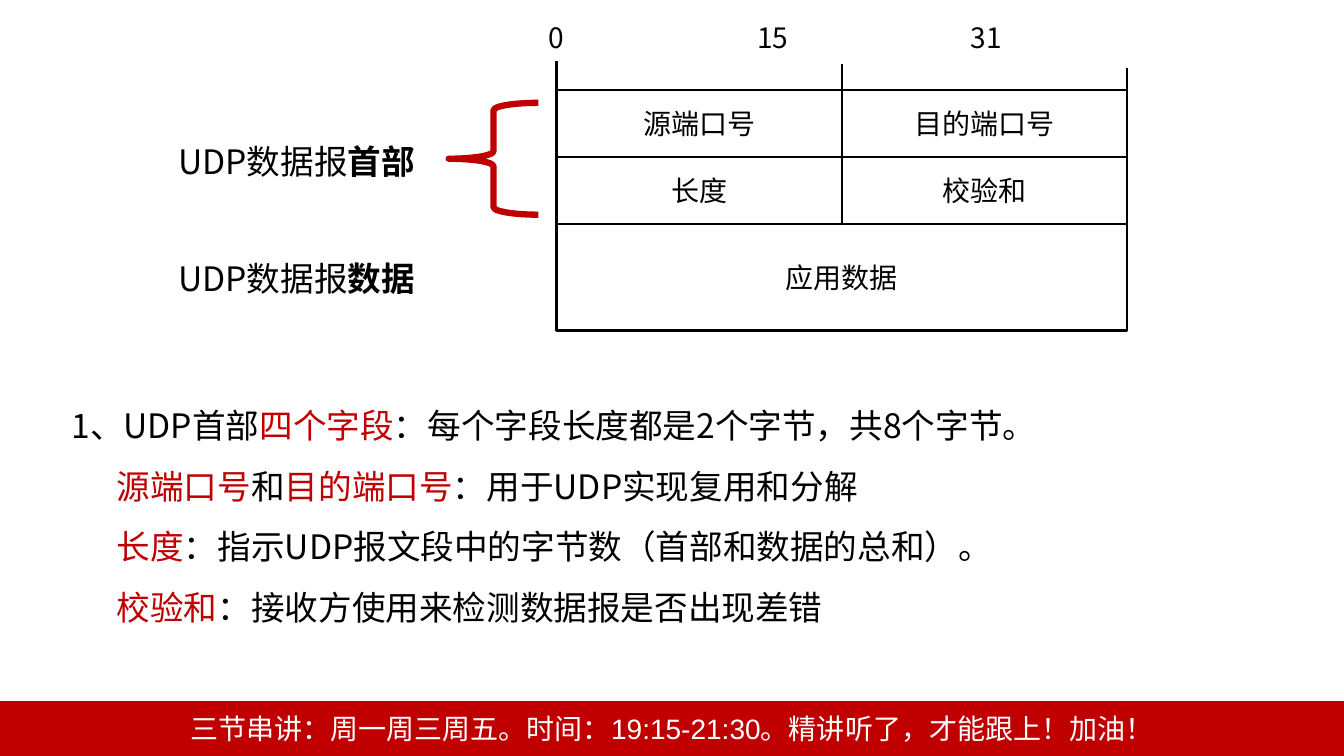
from lxml.etree import SubElement
from pptx import Presentation
from pptx.dml.color import RGBColor
from pptx.enum.shapes import MSO_CONNECTOR, MSO_SHAPE
from pptx.enum.text import MSO_ANCHOR, MSO_AUTO_SIZE, PP_ALIGN
from pptx.oxml.ns import qn
from pptx.util import Inches, Pt

SANS = "Noto Sans CJK SC"
BLACK, RED, WHITE = "000000", "C00000", "FFFFFF"


def tint(code):
    """Turn a hex string into a colour."""
    return RGBColor.from_string(code)


def write(frame, lines, size=24, font=SANS, color=BLACK, align=PP_ALIGN.LEFT,
          space=None, mark=BLACK, bold=None, indent=0, tabs=()):
    """Fill a frame with lines of runs; marked runs are tuples of one text."""
    for i, line in enumerate(lines):
        para = frame.paragraphs[0] if i == 0 else frame.add_paragraph()
        para.alignment = align
        para.line_spacing = space
        props = para._p.get_or_add_pPr()
        if indent and i:
            props.set("marL", str(Inches(indent)))
        if tabs:
            stops = SubElement(props, qn("a:tabLst"))
            for stop in tabs:
                SubElement(stops, qn("a:tab"), pos=str(Inches(stop)), algn="l")
        for part in line:
            key = isinstance(part, tuple)
            run = para.add_run()
            run.text = part[0] if key else part
            run.font.size = Pt(size)
            run.font.name = font
            run.font.color.rgb = tint(mark if key else color)
            if key and bold:
                run.font.bold = True
            face = SubElement(run._r.get_or_add_rPr(), qn("a:ea"))
            face.set("typeface", font)


def label(slide, box, lines, **style):
    """Add a wrapped text box that grows with its text."""
    frame = slide.shapes.add_textbox(*map(Inches, box)).text_frame
    frame.word_wrap = True
    frame.auto_size = MSO_AUTO_SIZE.SHAPE_TO_FIT_TEXT
    write(frame, lines, **style)


def block(slide, box, kind=MSO_SHAPE.RECTANGLE, fill=None, line=BLACK, width=1.5):
    """Add a preset shape and return its text frame."""
    shape = slide.shapes.add_shape(kind, *map(Inches, box))
    shape.shadow.inherit = False
    if fill:
        shape.fill.solid()
        shape.fill.fore_color.rgb = tint(fill)
    else:
        shape.fill.background()
    shape.line.color.rgb = tint(line)
    shape.line.width = Pt(width)
    shape.text_frame.vertical_anchor = MSO_ANCHOR.MIDDLE
    return shape.text_frame


def tick(slide, x, y, size):
    """Add an upright tick line."""
    line = slide.shapes.add_connector(
        MSO_CONNECTOR.STRAIGHT, *map(Inches, (x, y, x, y + size)))
    line.line.color.rgb = tint(BLACK)
    line.line.width = Pt(1.5)
    SubElement(line._element.spPr, qn("a:effectLst"))


def packet(slide, x, y, w, h):
    """Draw the datagram grid with its bit scale above."""
    half, row = w / 2, 0.665
    fields = [["源端口号", "目的端口号"], ["长度", "校验和"]]
    cells = [((x + c * half, y + r * row, half, row), name)
             for r, names in enumerate(fields) for c, name in enumerate(names)]
    cells.append(((x, y + 2 * row, w, h - 2 * row), "应用数据"))
    for box, name in cells:
        write(block(slide, box), [[name]], size=20, align=PP_ALIGN.CENTER)
    for i in range(3):
        tick(slide, x + i * half, y - 0.28 + i * 0.03, 0.36)
    label(slide, (x - 0.18, y - 0.74, 6.38, 0.44), [["0\t15\t31"]],
          size=20, tabs=(2.07, 4.19))


def sides(slide, x, y):
    """Name the two parts of the datagram and brace the header."""
    block(slide, (x + 2.78, y - 0.13, 0.89, 1.11), MSO_SHAPE.LEFT_BRACE,
          line=RED, width=4.5)
    for i, name in enumerate(["首部", "数据"]):
        label(slide, (x, y + i * 1.16, 2.66 + i, 0.64),
              [["UDP数据报", (name,)]], space=1.5, bold=True)


def notes(slide, *box):
    """Explain the header fields."""
    lines = [
        ["1、UDP首部", ("四个字段",), "：每个字段长度都是2个字节，共8个字节。"],
        [("源端口号",), "和", ("目的端口号",), "：用于UDP实现复用和分解"],
        [("长度",), "：指示UDP报文段中的字节数（首部和数据的总和）。"],
        [("校验和",), "：接收方使用来检测数据报是否出现差错"],
    ]
    label(slide, box, lines, space=1.5, mark=RED, indent=0.45)


def footer(slide, *box):
    """Draw the red band with the class times."""
    frame = block(slide, box, fill=RED, line=RED, width=1)
    write(frame, [["三节串讲：周一周三周五。时间：19:15-21:30。精讲听了，才能跟上！加油！"]],
          size=20, font="Arial", color=WHITE, align=PP_ALIGN.CENTER)


def main():
    """Build and save the slide."""
    deck = Presentation()
    deck.slide_width, deck.slide_height = Inches(13.33), Inches(7.5)
    slide = deck.slides.add_slide(deck.slide_layouts[6])
    packet(slide, 5.52, 0.89, 5.66, 2.39)
    sides(slide, 1.67, 1.15)
    notes(slide, 0.61, 3.77, 10.88, 2.45)
    footer(slide, 0, 6.96, 13.33, 0.54)
    deck.save("out.pptx")


if __name__ == "__main__":
    main()
